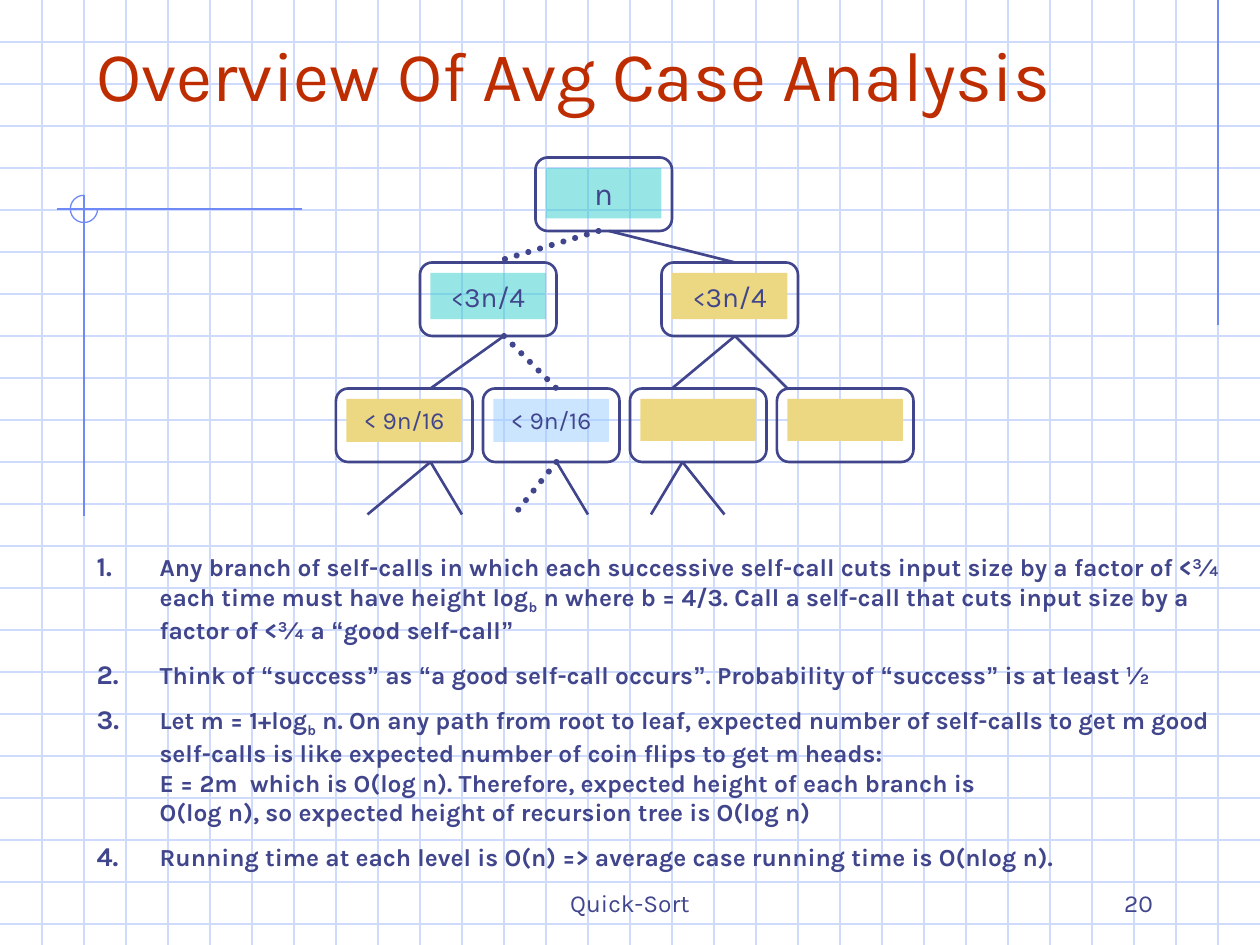
"""Build the slide on the average case analysis of quick-sort."""
import dataclasses
import itertools
import typing

import lxml.etree
import pptx
import pptx.dml.color
import pptx.enum.dml
import pptx.enum.shapes
import pptx.enum.text
import pptx.oxml.ns
import pptx.util

PX = 7620
WIDE, HIGH, STEP = 1200, 900, 40
INK, RULE, MARK, RED = "40458C", "CFDBFD", "6F89F7", "BE2D00"
TEAL, SAND, SKY = "33CCCC", "ECD882", "99CCFF"
FONT = "Karla"
KIND = pptx.enum.shapes.MSO_SHAPE
ALIGN = pptx.enum.text.PP_ALIGN
ANCHOR = pptx.enum.text.MSO_ANCHOR


@dataclasses.dataclass
class Node:
    x: int
    y: int
    high: int
    fill: str
    runs: tuple = ()
    gap: float = 0
    clear: bool = False


@dataclasses.dataclass
class Edge:
    x1: int
    y1: int
    x2: int
    y2: int
    color: str = INK
    width: float = 1.5
    dots: bool = False


THREE = (("<", 14), ("3n/4", 16))
NINE = (("< 9n/16", 14),)
NODES = [
    Node(510, 150, 48, TEAL, (("n", 18),), 11.2, True),
    Node(400, 250, 44, TEAL, THREE, 10, True),
    Node(630, 250, 44, SAND, THREE, 10),
    Node(320, 370, 41, SAND, NINE, 8.8),
    Node(460, 370, 41, SKY, NINE, 8.8, True),
    Node(600, 370, 40, SAND),
    Node(740, 370, 40, SAND),
]
EDGES = [
    Edge(580, 220, 700, 250),
    Edge(570, 220, 470, 250, width=3.5, dots=True),
    Edge(480, 320, 410, 370),
    Edge(480, 320, 530, 370, width=3.5, dots=True),
    Edge(700, 320, 640, 370),
    Edge(700, 320, 750, 370),
    Edge(410, 440, 350, 490),
    Edge(410, 440, 440, 490),
    Edge(530, 440, 490, 490, width=3.5, dots=True),
    Edge(530, 440, 560, 490),
    Edge(650, 440, 620, 490),
    Edge(650, 440, 690, 490),
]
GRID = [Edge(0, y, WIDE, y, RULE, 0.75) for y in range(STEP, HIGH, STEP)]
GRID += [Edge(x, 0, x, HIGH, RULE, 0.75) for x in range(STEP, WIDE, STEP)]
GRID += [
    Edge(1160, 0, 1160, 310, MARK, 0.75),
    Edge(288, 199, 54, 199, MARK, 0.75),
    Edge(80, 186, 80, 491, MARK, 0.75),
]
ITEMS = [
    "Any branch of self-calls in which each successive self-call cuts input size"
    " by a factor of <¾ each time must have height log~b~ n where b = 4/3. Call a"
    " self-call that cuts input size by a factor of <¾ a “good self-call”",
    "Think of “success” as “a good self-call occurs”. Probability of “success”"
    " is at least ½",
    "Let m = 1+log~b~ n. On any path from root to leaf, expected number of"
    " self-calls to get m good self-calls is like expected number of coin flips"
    " to get m heads: \nE = 2m  which is O(log n). Therefore, expected height of"
    " each branch is \nO(log n), so expected height of recursion tree is O(log n)",
    "Running time at each level is O(n) => average case running time is O(nlog n).",
]


def rgb(code: str) -> pptx.dml.color.RGBColor:
    """Turn a hex string into a colour."""
    return pptx.dml.color.RGBColor.from_string(code)


def sub(node: typing.Any, tag: str, **attrs: str) -> typing.Any:
    """Append a drawing child to an XML node."""
    return lxml.etree.SubElement(node, pptx.oxml.ns.qn(tag), attrs)


def place(shape: typing.Any, x: int, y: int, w: int, h: int) -> None:
    """Move a shape to a box given in px."""
    shape.left, shape.top, shape.width, shape.height = (v * PX for v in (x, y, w, h))


def setup(shape: typing.Any, anchor: typing.Any, top: int = 6) -> typing.Any:
    """Set wrapping, insets and anchor of a text frame."""
    frame = shape.text_frame
    frame.word_wrap = True
    frame.auto_size = pptx.enum.text.MSO_AUTO_SIZE.NONE
    frame.vertical_anchor = anchor
    frame.margin_left = frame.margin_right = 12 * PX
    frame.margin_top = frame.margin_bottom = top * PX
    return frame


def write(para: typing.Any, text: str, size: float, color: str = INK,
          bold: bool = False, face: str = FONT) -> typing.Any:
    """Add one formatted run to a paragraph."""
    run = para.add_run()
    run.text = text
    font = run.font
    font.name, font.size, font.bold = face, pptx.util.Pt(size), bold
    font.color.rgb = rgb(color)
    return run


def link(slide: typing.Any, edge: Edge) -> None:
    """Draw a straight line, dotted if asked."""
    ends = (v * PX for v in (edge.x1, edge.y1, edge.x2, edge.y2))
    line = slide.shapes.add_connector(pptx.enum.shapes.MSO_CONNECTOR.STRAIGHT, *ends)
    line.line.color.rgb = rgb(edge.color)
    line.line.width = pptx.util.Pt(edge.width)
    if edge.dots:
        line.line.dash_style = pptx.enum.dml.MSO_LINE.ROUND_DOT
        line.line._ln.set("cap", "rnd")
    sub(line._element.spPr, "a:effectLst")


def shape(slide: typing.Any, kind: typing.Any, x: int, y: int, w: int, h: int,
          color: str, width: float = 0, clear: bool = False) -> typing.Any:
    """Draw an outline if a width is given, else a filled shape."""
    item = slide.shapes.add_shape(kind, *(v * PX for v in (x, y, w, h)))
    item.shadow.inherit = False
    if width:
        item.fill.background()
        item.line.color.rgb = rgb(color)
        item.line.width = pptx.util.Pt(width)
    else:
        item.fill.solid()
        item.fill.fore_color.rgb = rgb(color)
        item.line.fill.background()
    if clear:
        tint = item._element.spPr.find(".//" + pptx.oxml.ns.qn("a:srgbClr"))
        sub(tint, "a:alpha", val="50000")
    return item


def draw(slide: typing.Any, node: Node) -> None:
    """Draw a tree node with its label."""
    shape(slide, KIND.FLOWCHART_ALTERNATE_PROCESS, node.x, node.y, 130, 70, INK, 1.5)
    tile = shape(slide, KIND.RECTANGLE, node.x + 10, node.y + 10, 110, node.high,
                 node.fill, clear=node.clear)
    if node.runs:
        para = setup(tile, ANCHOR.TOP).paragraphs[0]
        para.alignment = ALIGN.CENTER
        para.space_before = pptx.util.Pt(node.gap)
        for text, size in node.runs:
            write(para, text, size)


def note(slide: typing.Any, x: int, w: int, text: str, align: typing.Any) -> None:
    """Add a footer text."""
    box = slide.shapes.add_textbox(x * PX, 820 * PX, w * PX, 60 * PX)
    para = setup(box, ANCHOR.BOTTOM).paragraphs[0]
    para.alignment = align
    write(para, text, 14)


def point(para: typing.Any, text: str) -> None:
    """Fill a numbered item, with ~ around subscripts."""
    para.space_before, para.space_after = pptx.util.Pt(8.8), 0
    para.line_spacing = 1.0
    prop = para._p.get_or_add_pPr()
    prop.set("marL", str(60 * PX))
    prop.set("indent", str(-60 * PX))
    sub(sub(prop, "a:buClr"), "a:srgbClr", val=INK)
    sub(prop, "a:buSzPct", val="110000")
    sub(prop, "a:buFont", typeface=FONT)
    sub(prop, "a:buAutoNum", type="arabicPeriod")
    for turn, part in enumerate(text.split("~")):
        for quote, chars in itertools.groupby(part, lambda c: c in "“”"):
            for row, words in enumerate("".join(chars).split("\n")):
                if row:
                    para.add_line_break()
                run = write(para, words, 14, bold=True, face="Arial" if quote else FONT)
                if turn % 2:
                    run._r.get_or_add_rPr().set("baseline", "-25000")


def main() -> None:
    """Build and save the slide."""
    deck = pptx.Presentation()
    deck.slide_width, deck.slide_height = WIDE * PX, HIGH * PX
    slide = deck.slides.add_slide(deck.slide_layouts[1])
    title, body = slide.placeholders
    for edge in GRID:
        link(slide, edge)
    arc = shape(slide, KIND.ARC, 67, 186, 26, 26, MARK, 0.75)
    arc.adjustments[0], arc.adjustments[1] = 0, 162
    note(slide, 410, 380, "Quick-Sort", ALIGN.CENTER)
    note(slide, 860, 250, "20", ALIGN.RIGHT)

    slide.shapes._spTree.append(title._element)
    place(title, 80, 30, 1020, 150)
    head = setup(title, ANCHOR.TOP, 0).paragraphs[0]
    head.alignment = ALIGN.LEFT
    write(head, "Overview Of Avg Case Analysis", 40, RED)

    for edge in EDGES:
        link(slide, edge)
    for node in NODES:
        draw(slide, node)

    slide.shapes._spTree.append(body._element)
    place(body, 80, 520, 1120, 366)
    frame = setup(body, ANCHOR.TOP)
    for row, text in enumerate(ITEMS):
        point(frame.add_paragraph() if row else frame.paragraphs[0], text)
    deck.save("out.pptx")


if __name__ == "__main__":
    main()
